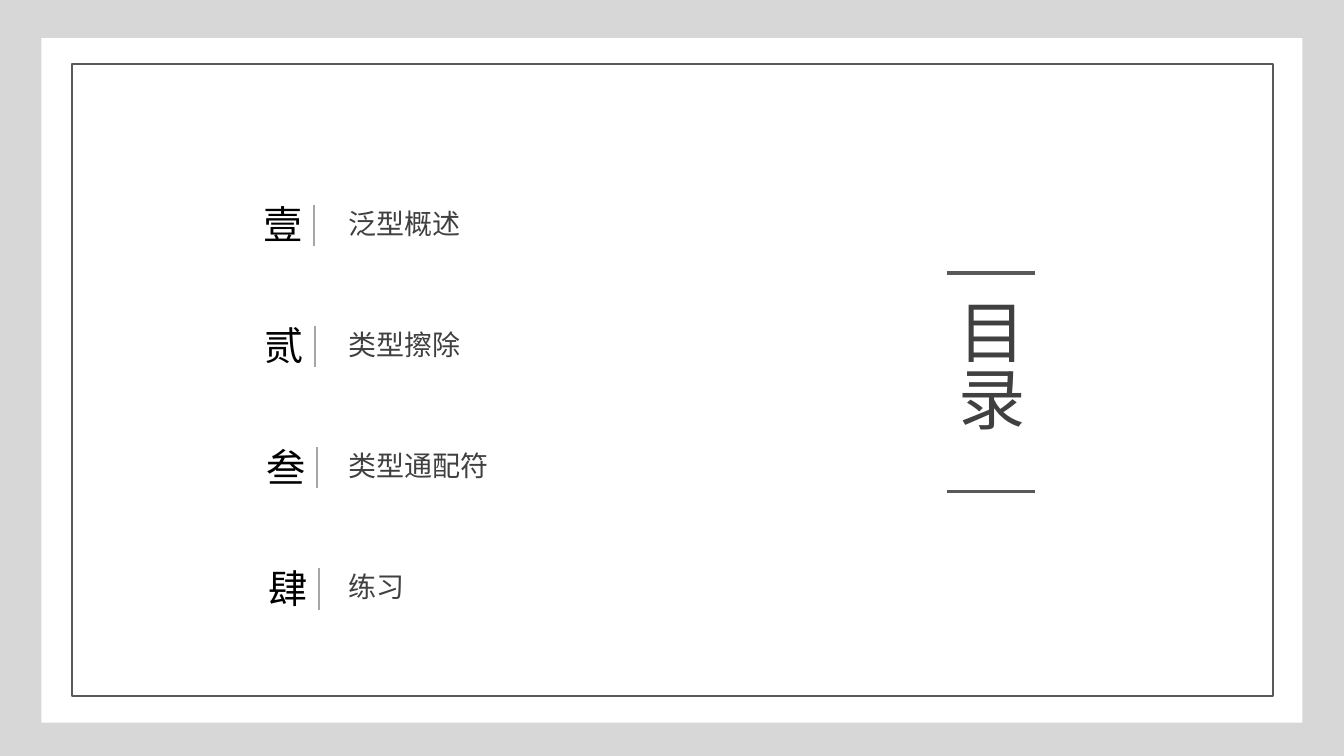
from lxml import etree
from pptx import Presentation
from pptx.dml.color import RGBColor
from pptx.enum.shapes import MSO_CONNECTOR, MSO_SHAPE
from pptx.enum.text import MSO_ANCHOR, MSO_AUTO_SIZE, PP_ALIGN
from pptx.oxml.ns import qn
from pptx.util import Pt

RECTANGLE = MSO_SHAPE.RECTANGLE
STRAIGHT = MSO_CONNECTOR.STRAIGHT
TOP = MSO_ANCHOR.TOP
NO_AUTOFIT = MSO_AUTO_SIZE.NONE
LEFT, JUSTIFY = PP_ALIGN.LEFT, PP_ALIGN.JUSTIFY
TITLE_ONLY = 5

TITLE = "目录"
CHAPTERS = [
    ("壹", "泛型概述"),
    ("贰", "类型擦除"),
    ("叁", "类型通配符"),
    ("肆", "练习"),
]

THEME = {
    "font": "Noto Sans CJK SC",
    "backdrop": "D7D7D7",
    "paper": "FFFFFF",
    "frame": "595959",
    "divider": "A6A6A6",
    "numeral": {"size": 28, "color": "000000"},
    "topic": {"size": 20, "color": "404040"},
    "title": {"size": 48, "color": "404040"},
}

# Lengths in points
SLIDE_SIZE = (960, 540)
PAPER_BOX = (29.5, 27.2, 900.8, 489)
FRAME_BOX = (51.5, 45.5, 857.5, 452)
FIRST_ROW_TOP, ROW_PITCH, ROW_DRIFT = 146.2, 86.5, 1.2
DIVIDER_LEFT, DIVIDER_HEIGHT = 224, 29.7
NUMERAL_LEFT, NUMERAL_RISE = 181, 6.4
TOPIC_LEFT, TOPIC_RISE = 241.9, 2.2
NUMERAL_SIZE, TOPIC_SIZE = (38.2, 41), (223.2, 31.7)
TITLE_BOX = (670.3, 209.5, 72.7, 128.9)
TITLE_RULE_LEFT, TITLE_RULE_RIGHT = 676.3, 739.3
TITLE_RULE_TOPS = (195, 351.2)


def color(value):
    return RGBColor.from_string(value)


def add_rectangle(slide, box, fill=None, line=None):
    shape = slide.shapes.add_shape(RECTANGLE, *map(Pt, box))
    shape.shadow.inherit = False
    if fill:
        shape.fill.solid()
        shape.fill.fore_color.rgb = color(fill)
    else:
        shape.fill.background()
    if line:
        shape.line.color.rgb = color(line)
        shape.line.width = Pt(1.5)
    else:
        shape.line.fill.background()


def add_line(slide, start, end, line_color, width):
    connector = slide.shapes.add_connector(STRAIGHT, *map(Pt, start + end))
    connector.line.color.rgb = color(line_color)
    connector.line.width = Pt(width)
    etree.SubElement(connector._element.spPr, qn("a:effectLst"))


def write_text(shape, text, style, alignment=LEFT):
    frame = shape.text_frame
    frame_format = {"word_wrap": True, "auto_size": NO_AUTOFIT, "vertical_anchor": TOP}
    for name, value in frame_format.items():
        setattr(frame, name, value)
    paragraph = frame.paragraphs[0]
    paragraph.alignment = alignment
    run = paragraph.add_run()
    run.text = text
    run.font.name = THEME["font"]
    run.font.size = Pt(style["size"])
    run.font.color.rgb = color(style["color"])
    east_asian = etree.SubElement(run.font._element, qn("a:ea"))
    east_asian.set("typeface", THEME["font"])


def add_text(slide, box, text, style):
    write_text(slide.shapes.add_textbox(*map(Pt, box)), text, style)


def add_chapters(slide):
    """Each row steps down by the pitch; numeral and divider drift right."""
    for index, (numeral, topic) in enumerate(CHAPTERS):
        top = FIRST_ROW_TOP + index * ROW_PITCH
        drift = index * ROW_DRIFT
        divider_x = DIVIDER_LEFT + drift
        add_text(slide, (NUMERAL_LEFT + drift, top - NUMERAL_RISE, *NUMERAL_SIZE),
                 numeral, THEME["numeral"])
        add_line(slide, (divider_x, top), (divider_x, top + DIVIDER_HEIGHT),
                 THEME["divider"], 1.5)
        add_text(slide, (TOPIC_LEFT, top - TOPIC_RISE, *TOPIC_SIZE),
                 topic, THEME["topic"])


def add_title(slide):
    """Vertical title between two rules, brought in front of the paper."""
    title = slide.shapes.title
    for name, value in zip(("left", "top", "width", "height"), TITLE_BOX):
        setattr(title, name, Pt(value))
    write_text(title, TITLE, THEME["title"], JUSTIFY)
    title.text_frame._txBody.bodyPr.set("vert", "eaVert")
    slide.shapes._spTree.append(title._element)
    for top in TITLE_RULE_TOPS:
        add_line(slide, (TITLE_RULE_LEFT, top), (TITLE_RULE_RIGHT, top),
                 THEME["frame"], 2.25)


def main():
    presentation = Presentation()
    presentation.slide_width, presentation.slide_height = map(Pt, SLIDE_SIZE)
    slide = presentation.slides.add_slide(presentation.slide_layouts[TITLE_ONLY])
    add_rectangle(slide, (0, 0, *SLIDE_SIZE), fill=THEME["backdrop"])
    add_rectangle(slide, PAPER_BOX, fill=THEME["paper"])
    add_rectangle(slide, FRAME_BOX, line=THEME["frame"])
    add_chapters(slide)
    add_title(slide)
    presentation.save("out.pptx")


if __name__ == "__main__":
    main()
